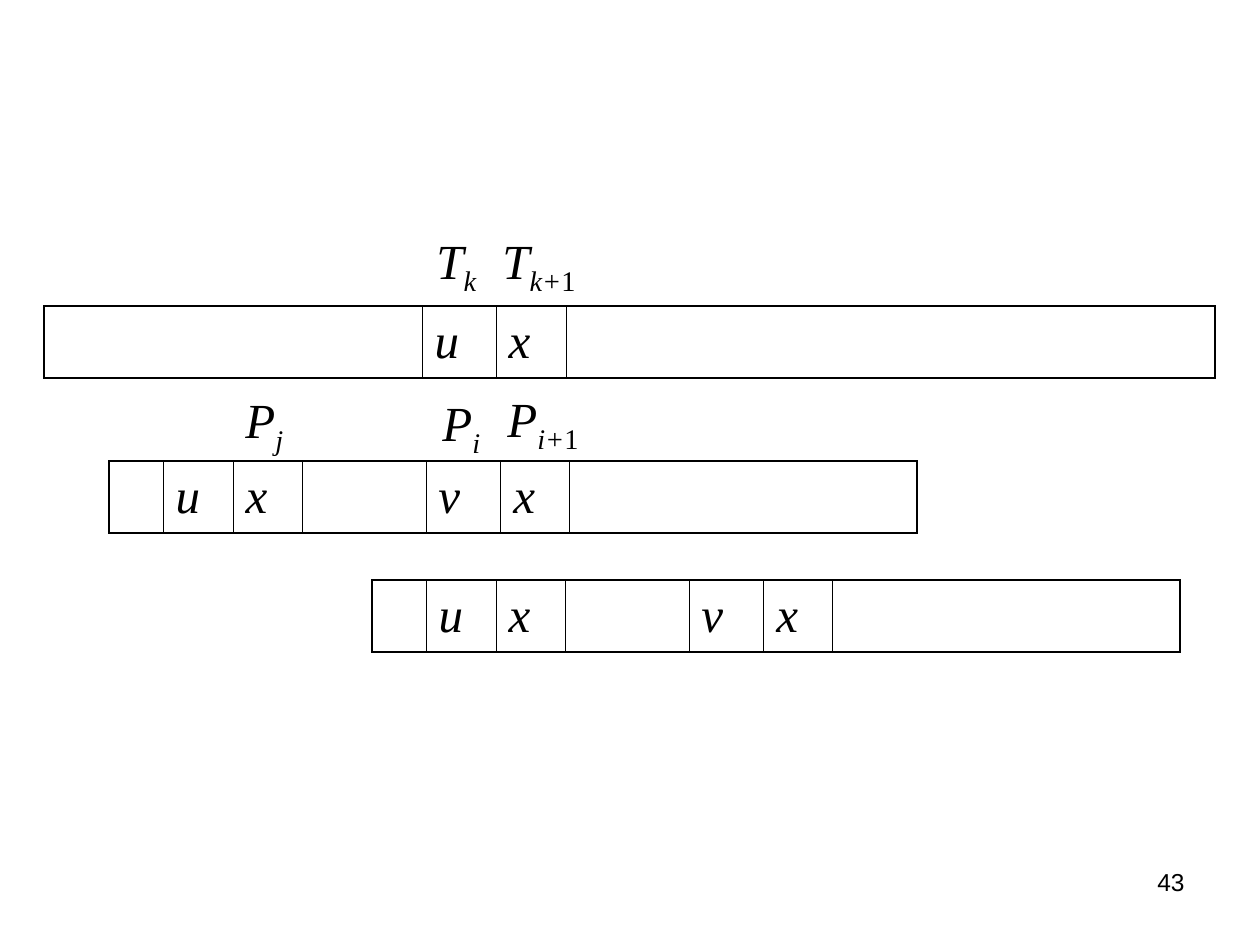
"""Build a slide showing a text and a pattern being shifted along it."""
from dataclasses import dataclass

import lxml.etree
import pptx
import pptx.dml.color
import pptx.enum.text
import pptx.oxml.ns
import pptx.util

PX = pptx.util.Inches(1) // 126


@dataclass(frozen=True)
class Theme:
    ink: str = "000000"
    math_font: str = "Times New Roman"
    number_font: str = "Arial"
    math_size: int = 28
    number_size: int = 14
    outer_line: float = 1.08
    inner_line: float = 0.45
    subscript: str = "-25000"


@dataclass(frozen=True)
class Strip:
    left: int
    top: int
    widths: tuple[int, ...]
    letters: tuple[str, ...]


@dataclass(frozen=True)
class Label:
    left: int
    top: int
    width: int
    base: str
    index: str
    digit: str = ""


THEME = Theme()
ROW_HEIGHT = 72
LABEL_HEIGHT = 79
PATTERN_WIDTHS = (54, 70, 69, 124, 75, 69, 347)
PATTERN_LETTERS = ("", "u", "x", "", "v", "x", "")

STRIPS = (
    Strip(44, 306, (378, 74, 70, 649), ("", "u", "x", "")),
    Strip(109, 461, PATTERN_WIDTHS, PATTERN_LETTERS),
    Strip(372, 580, PATTERN_WIDTHS, PATTERN_LETTERS),
)
LABELS = (
    Label(490, 224, 115, "T", "k+", "1"),
    Label(424, 224, 79, "T", "k"),
    Label(495, 382, 106, "P", "i+", "1"),
    Label(430, 386, 66, "P", "i"),
    Label(233, 383, 79, "P", "j"),
)


def style_font(font, name: str, size: int, italic: bool = False) -> None:
    """Apply typeface, size, slant and the ink colour."""
    font.name = name
    font.size = pptx.util.Pt(size)
    font.italic = italic
    font.color.rgb = pptx.dml.color.RGBColor.from_string(THEME.ink)


def add_border(cell, side: str, points: float) -> None:
    """Draw one solid border of a cell."""
    qn = pptx.oxml.ns.qn
    line = lxml.etree.SubElement(
        cell._tc.get_or_add_tcPr(), qn(f"a:ln{side}"), w=str(pptx.util.Pt(points))
    )
    fill = lxml.etree.SubElement(line, qn("a:solidFill"))
    lxml.etree.SubElement(fill, qn("a:srgbClr"), val=THEME.ink)


def add_strip(page, strip: Strip) -> None:
    """Draw a one-row table of lettered cells."""
    count = len(strip.widths)
    table = page.shapes.add_table(
        1, count, strip.left * PX, strip.top * PX,
        sum(strip.widths) * PX, ROW_HEIGHT * PX,
    ).table
    table.first_row = table.horz_banding = False
    table.rows[0].height = ROW_HEIGHT * PX
    for position, (width, letter) in enumerate(zip(strip.widths, strip.letters)):
        table.columns[position].width = width * PX
        cell = table.cell(0, position)
        cell.vertical_anchor = pptx.enum.text.MSO_ANCHOR.MIDDLE
        cell.text = letter
        style_font(cell.text_frame.paragraphs[0].font,
                   THEME.math_font, THEME.math_size, italic=True)
        outer_sides = {"T", "B"}
        if position == 0:
            outer_sides.add("L")
        if position == count - 1:
            outer_sides.add("R")
        for side in "LRTB":
            add_border(cell, side,
                       THEME.outer_line if side in outer_sides else THEME.inner_line)
        cell.fill.background()


def add_box(page, left: int, top: int, width: int, height: int):
    """Add a wrapping text box and return its first paragraph."""
    box = page.shapes.add_textbox(left * PX, top * PX, width * PX, height * PX)
    box.text_frame.word_wrap = True
    return box.text_frame.paragraphs[0]


def add_label(page, label: Label) -> None:
    """Write a symbol with its subscript."""
    para = add_box(page, label.left, label.top, label.width, LABEL_HEIGHT)
    style_font(para.font, THEME.math_font, THEME.math_size)
    for text in filter(None, (label.base, label.index, label.digit)):
        span = para.add_run()
        span.text = text
        style_font(span.font, THEME.math_font, THEME.math_size,
                   italic=text != label.digit)
        if text != label.base:
            span._r.get_or_add_rPr().set("baseline", THEME.subscript)


def add_page_number(page, number: str) -> None:
    """Write the page number at the lower right."""
    para = add_box(page, 903, 861, 294, 66)
    para.text = number
    para.alignment = pptx.enum.text.PP_ALIGN.RIGHT
    style_font(para.font, THEME.number_font, THEME.number_size)


def main() -> None:
    """Build and save the deck."""
    deck = pptx.Presentation()
    deck.slide_width = 1260 * PX
    deck.slide_height = 945 * PX
    page = deck.slides.add_slide(deck.slide_layouts.get_by_name("Blank"))
    for strip in STRIPS:
        add_strip(page, strip)
    for label in LABELS:
        add_label(page, label)
    add_page_number(page, "43")
    deck.save("out.pptx")


if __name__ == "__main__":
    main()
